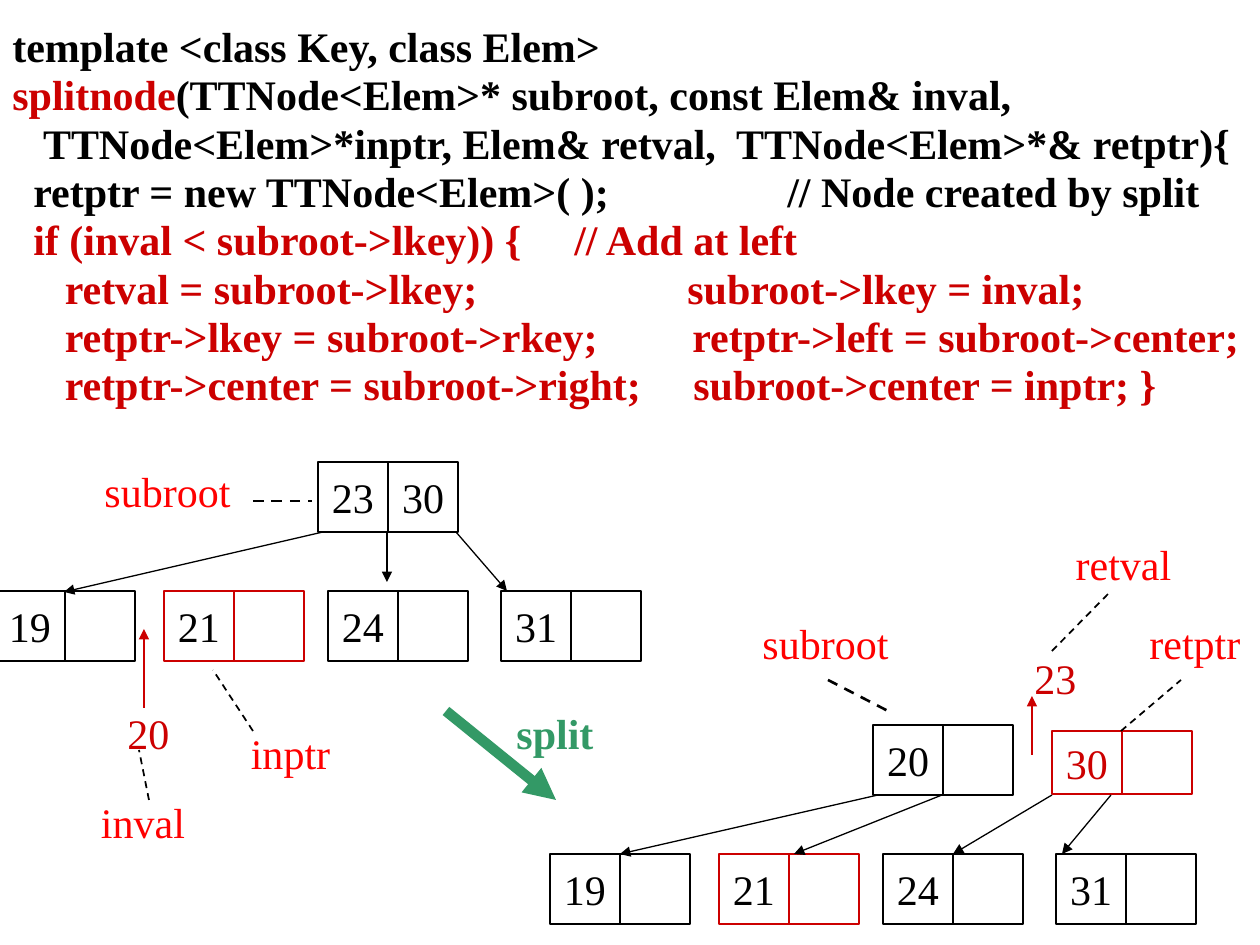
"""Build the slide that explains splitting a node of a 2-3 tree."""
from lxml.etree import SubElement
from pptx import Presentation
from pptx.dml.color import RGBColor
from pptx.enum.dml import MSO_LINE
from pptx.enum.shapes import MSO_CONNECTOR, MSO_SHAPE
from pptx.enum.text import MSO_ANCHOR, MSO_AUTO_SIZE, PP_ALIGN
from pptx.oxml.ns import qn
from pptx.util import Pt

PX = 914400 / 126
FONT = "Times New Roman"
CELL = 70
LABEL_HEIGHT = 63
COLORS = {"black": "000000", "dark_red": "CC0000", "red": "FF0000", "green": "339966"}

CODE = [
    ([("template <class Key, class Elem>", "black")], None),
    ([("splitnode", "dark_red"),
      ("(TTNode<Elem>* subroot, const Elem& inval,", "black")], None),
    ([("   TTNode<Elem>*inptr, Elem& retval,  TTNode<Elem>*& retptr){", "black")], None),
    ([("  retptr = new TTNode<Elem>( );\t// Node created by split", "black")], 775),
    ([("  if (inval < subroot->lkey)) {\t// Add at left", "dark_red")], 562),
    ([("     retval = subroot->lkey;\tsubroot->lkey = inval;", "dark_red")], 675),
    ([("     retptr->lkey = subroot->rkey;\tretptr->left = subroot->center;", "dark_red")], 680),
    ([("     retptr->center = subroot->right;\tsubroot->center = inptr; }", "dark_red")], 681),
]
LEAVES = [(-5, "19", "black"), (164, "21", "dark_red"), (328, "24", "black"), (501, "31", "black")]
LEAF_ROWS = [(0, 591), (555, 854)]
LABELS = [
    ("20", 115, 701, 67, "dark_red"), ("subroot", 92, 459, 151, "red"),
    ("inptr", 238, 721, 105, "red"), ("inval", 89, 790, 108, "red"),
    ("23", 1022, 646, 67, "dark_red"), ("split", 504, 701, 102, "green"),
    ("retval", 1063, 532, 121, "red"), ("retptr", 1137, 611, 116, "red"),
    ("subroot", 750, 611, 151, "red"),
]
ARROWS = [
    ((323, 532), (64, 592), "black", 0.75), ((387, 532), (387, 582), "black", 0.75),
    ((456, 532), (507, 591), "black", 0.75), ((144, 708), (144, 629), "dark_red", 0.75),
    ((878, 795), (620, 854), "black", 0.75), ((942, 795), (794, 854), "black", 0.75),
    ((1111, 795), (1062, 854), "black", 0.75), ((1052, 795), (953, 854), "black", 0.75),
    ((1032, 755), (1032, 696), "dark_red", 0.75), ((446, 711), (556, 800), "green", 6),
]
POINTERS = [
    ((253, 501), (312, 501), 1.5), ((253, 731), (213, 670), 1),
    ((1052, 651), (1111, 591), 1), ((1121, 731), (1181, 680), 1),
    ((149, 800), (139, 750), 1), ((828, 680), (888, 711), 1.5),
]


def px(value):
    """Turn pixels into EMU."""
    return round(value * PX)


def rgb(name):
    """Look up a named colour."""
    return RGBColor.from_string(COLORS[name])


def set_font(font, color, bold=False):
    """Apply the shared typeface and size."""
    font.name, font.size, font.bold = FONT, Pt(24), bold
    font.color.rgb = rgb(color)


def write_centered(shape, text, color, bold=False):
    """Put one centred line of text into a shape."""
    frame = shape.text_frame
    frame.word_wrap = False
    frame.margin_left = frame.margin_right = 0
    paragraph = frame.paragraphs[0]
    paragraph.text = text
    paragraph.alignment = PP_ALIGN.CENTER
    set_font(paragraph.font, color, bold)


def add_tab_stop(paragraph, position):
    """Give a paragraph one left tab stop."""
    tab_list = SubElement(paragraph._p.get_or_add_pPr(), qn("a:tabLst"))
    SubElement(tab_list, qn("a:tab"), pos=str(px(position)), algn="l")


def add_code(slide):
    """Add the listing at the top of the slide."""
    frame = slide.shapes.add_textbox(0, px(26), px(1260), px(420)).text_frame
    frame.word_wrap = True
    for index, (runs, tab) in enumerate(CODE):
        paragraph = frame.paragraphs[0] if index == 0 else frame.add_paragraph()
        paragraph.line_spacing = 0.75
        paragraph.space_before = Pt(6 if index else 0)
        if tab:
            add_tab_stop(paragraph, tab)
        for text, color in runs:
            run = paragraph.add_run()
            run.text = text
            set_font(run.font, color, bold=True)


def add_node(slide, left, top, keys, color="black", text_color="black", height=CELL):
    """Add a tree node of two key cells."""
    for index, key in enumerate(keys):
        cell = slide.shapes.add_shape(
            MSO_SHAPE.RECTANGLE, px(left + index * CELL), px(top), px(CELL), px(height))
        cell.shadow.inherit = False
        cell.fill.background()
        cell.line.color.rgb = rgb(color)
        cell.line.width = Pt(0.75)
        if key:
            cell.text_frame.vertical_anchor = MSO_ANCHOR.MIDDLE
            write_centered(cell, key, text_color)


def add_label(slide, text, left, top, width, color):
    """Add a free-standing label."""
    label = slide.shapes.add_textbox(px(left), px(top), px(width), px(LABEL_HEIGHT))
    write_centered(label, text, color, bold=color == "green")
    label.text_frame.auto_size = MSO_AUTO_SIZE.SHAPE_TO_FIT_TEXT


def add_line(slide, start, end, color, width):
    """Add a straight line without a shadow."""
    connector = slide.shapes.add_connector(
        MSO_CONNECTOR.STRAIGHT, *(px(value) for value in start + end))
    connector.line.color.rgb = rgb(color)
    connector.line.width = Pt(width)
    SubElement(connector._element.spPr, qn("a:effectLst"))
    return connector


def add_arrow(slide, start, end, color, width):
    """Add a line with a triangular head at its end."""
    connector = add_line(slide, start, end, color, width)
    SubElement(connector.line._get_or_add_ln(), qn("a:tailEnd"), type="triangle")


def add_pointer(slide, start, end, width):
    """Add a dashed line from a name to what it refers to."""
    add_line(slide, start, end, "black", width).line.dash_style = MSO_LINE.DASH


def main():
    """Build and save the slide."""
    presentation = Presentation()
    presentation.slide_width, presentation.slide_height = px(1260), px(945)
    slide = presentation.slides.add_slide(presentation.slide_layouts[6])
    add_code(slide)
    add_node(slide, 318, 462, ("23", "30"))
    add_node(slide, 873, 725, ("20", ""))
    add_node(slide, 1052, 731, ("30", ""), "dark_red", "dark_red", LABEL_HEIGHT)
    for offset, top in LEAF_ROWS:
        for left, key, color in LEAVES:
            add_node(slide, left + offset, top, (key, ""), color)
    for label in LABELS:
        add_label(slide, *label)
    for arrow in ARROWS:
        add_arrow(slide, *arrow)
    for pointer in POINTERS:
        add_pointer(slide, *pointer)
    presentation.save("out.pptx")


if __name__ == "__main__":
    main()
